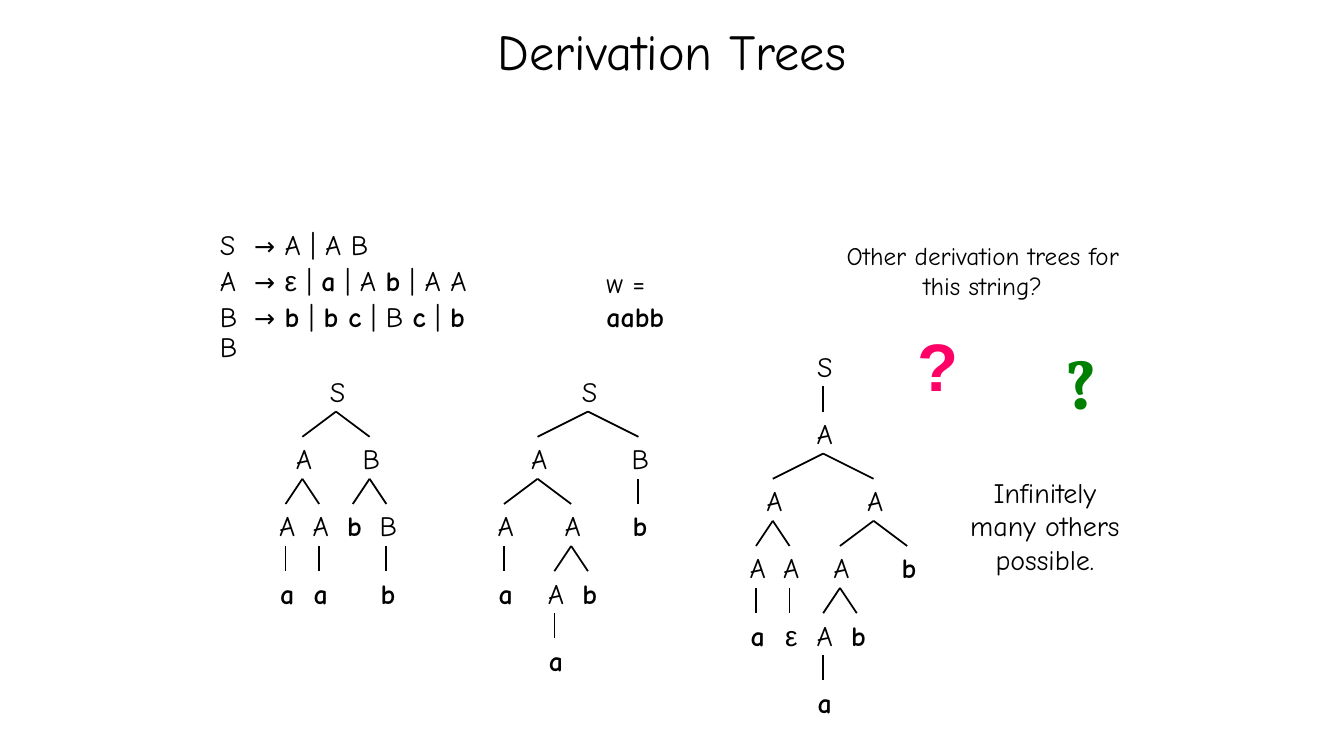
from lxml import etree
from pptx import Presentation, util as u
from pptx.dml.color import RGBColor
from pptx.enum import shapes, text
from pptx.oxml.ns import qn

UNIT = 1 / 6
LEVEL, EDGE_START, NODE = 4, 2.5, (2.2, 2.6)
BLACK, FONT = "000000", "Comic Neue"

NOTES = [
    ((1.3, 1, 77.4, 4), "Derivation Trees", 36, FONT, BLACK, False),
    ((57, 28, 10.4, 6.6), "Infinitely many others possible.", 20, FONT, BLACK, False),
    ((49, 14, 19, 4.3), "Other derivation trees for this string?", 18, FONT, BLACK, False),
    ((54, 19, 3.2, 5.5), "?", 48, "Arial", "FF0066", True),
    ((62.6, 20.1, 3, 5.4), "?", 48, "Vollkorn", "008000", True),
]
GRAMMAR_AREA = (12.5, 13.5, 16.2, 6.8)
GRAMMAR = [
    ("S", [" A | A B"]),
    ("A", [" ", "ε", " | ", "a", " | A ", "b", " | A A"]),
    ("B", [" ", "b", " | ", "b c", " | B ", "c", " | ", "b", " B"]),
]
WORD_AREA = (35.5, 15.5, 7, 4.6)
WORD = [("w = ", False), ("aabb", True)]

# Each node is (label, columns from the root, children).
TREES = [
    (35, 22, ("S", 0, [
        ("A", -3, [("A", -5, [("a", -5, [])]),
                   ("A", -1, [("A", -2, [("a", -2, [])]), ("b", 0, [])])]),
        ("B", 3, [("b", 3, [])])])),
    (49, 20.5, ("S", 0, [("A", 0, [
        ("A", -3, [("A", -4, [("a", -4, [])]), ("A", -2, [("ε", -2, [])])]),
        ("A", 3, [("A", 1, [("A", 0, [("a", 0, [])]), ("b", 2, [])]),
                  ("b", 5, [])])])])),
    (20, 22, ("S", 0, [
        ("A", -2, [("A", -3, [("a", -3, [])]), ("A", -1, [("a", -1, [])])]),
        ("B", 2, [("b", 1, []), ("B", 3, [("b", 3, [])])])])),
]


def grid(*cells):
    return [u.Inches(cell * UNIT) for cell in cells]


def color(value):
    return RGBColor.from_string(value)


def add_box(parent, area, wrap=True):
    frame = parent.shapes.add_textbox(*grid(*area)).text_frame
    frame.word_wrap = wrap
    return frame


def add_span(para, words, size=20, font=FONT, shade=BLACK, bold=False):
    span = para.add_run()
    span.text = words
    span.font.size, span.font.name, span.font.bold = u.Pt(size), font, bold
    span.font.color.rgb = color(shade)


def add_symbol(para, words):
    greek = words == "ε"
    add_span(para, words, font="Arial" if greek else FONT,
             bold=words.islower() and not greek)


def add_edge(parent, start, end):
    edge = parent.shapes.add_connector(
        shapes.MSO_CONNECTOR.STRAIGHT, *grid(*start, *end))
    edge.line.color.rgb = color(BLACK)
    edge.line.width = u.Pt(1.25)
    etree.SubElement(edge._element.spPr, qn("a:effectLst"))


def add_tree(group, root, top, node):
    label, offset, children = node
    width, height = NODE
    center = root + offset
    frame = add_box(group, (center + 0.1 - width / 2, top, width, height), False)
    para = frame.paragraphs[0]
    para.alignment = text.PP_ALIGN.CENTER
    add_symbol(para, label)
    for child in children:
        add_edge(group, (center, top + EDGE_START), (root + child[1], top + LEVEL))
        add_tree(group, root, top + LEVEL, child)


def add_grammar(page):
    frame = add_box(page, GRAMMAR_AREA)
    for index, (head, pieces) in enumerate(GRAMMAR):
        para = frame.add_paragraph() if index else frame.paragraphs[0]
        para.line_spacing = 0.9
        para.space_before = u.Pt(4 if index else 0)
        stops = etree.SubElement(para._p.get_or_add_pPr(), qn("a:tabLst"))
        etree.SubElement(stops, qn("a:tab"), pos=str(u.Inches(0.34)), algn="l")
        add_span(para, head + "\t")
        add_span(para, "→", 18)
        for piece in pieces:
            add_symbol(para, piece)


def main():
    """Build the derivation trees slide."""
    deck = Presentation()
    deck.slide_width, deck.slide_height = grid(80, 45)
    page = deck.slides.add_slide(deck.slide_layouts[6])
    for area, words, *look in NOTES:
        frame = add_box(page, area)
        if area == NOTES[0][0]:
            frame.vertical_anchor = text.MSO_ANCHOR.MIDDLE
        para = frame.paragraphs[0]
        para.alignment = text.PP_ALIGN.CENTER
        add_span(para, words, *look)
    for root, top, node in TREES:
        add_tree(page.shapes.add_group_shape(), root, top, node)
    add_grammar(page)
    para = add_box(page, WORD_AREA).paragraphs[0]
    for words, bold in WORD:
        add_span(para, words, bold=bold)
    deck.save("out.pptx")


if __name__ == "__main__":
    main()
